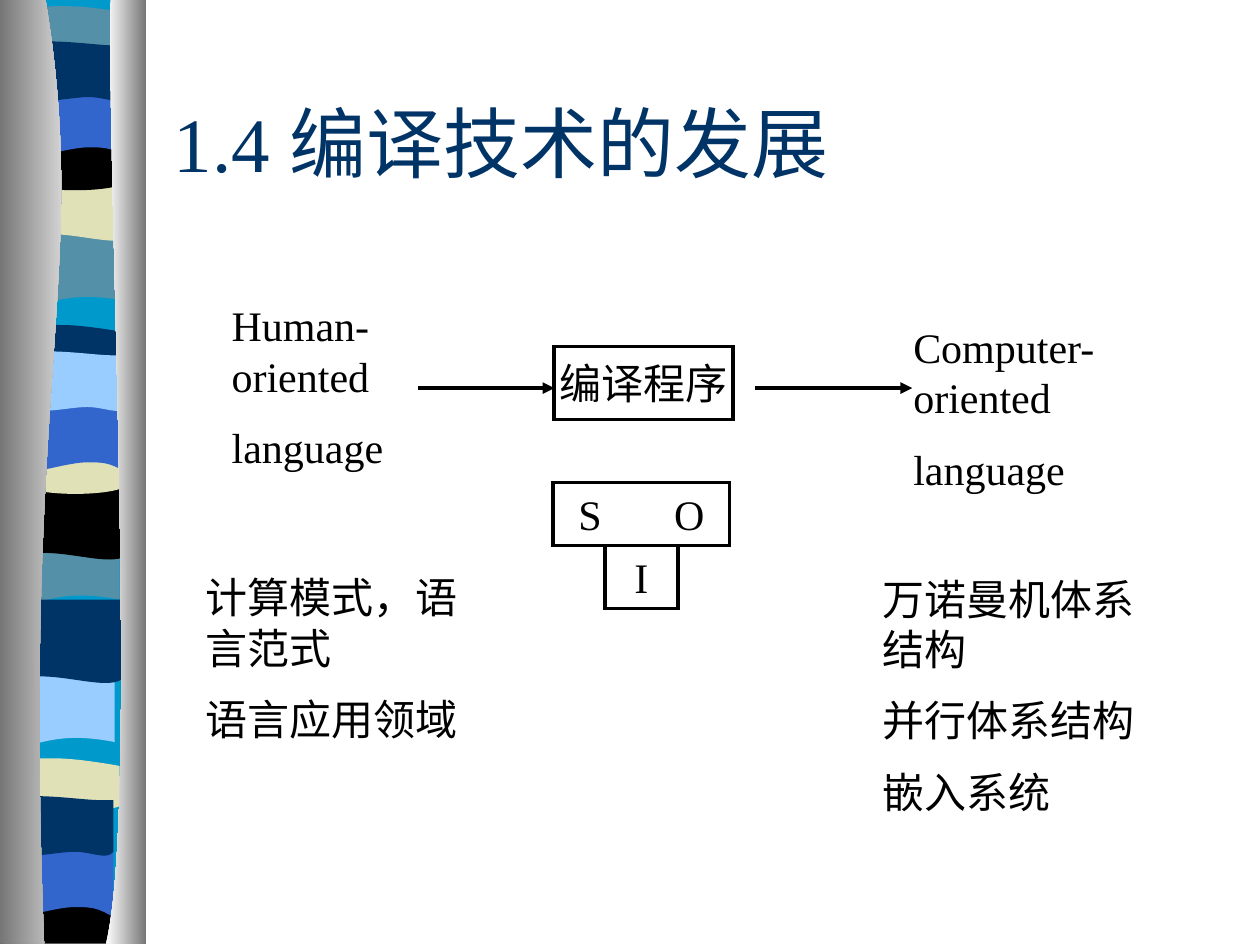
import pptx
import pptx.dml.color
import pptx.enum.shapes
import pptx.enum.text
import pptx.oxml
import pptx.oxml.ns
import pptx.util
from typing import NamedTuple

PX = 9144  # EMU per px, 100 px to the inch
FONT = "Times New Roman"
BLACK, WHITE, NAVY, GREY = "000000", "FFFFFF", "003366", "767676"
TEAL, STEEL, SAND, BLUE, SKY = "0099CC", "5490A8", "E1E1B7", "3366CC", "99CCFF"
NS = pptx.oxml.ns.nsdecls("a")
LEFT = pptx.enum.text.PP_ALIGN.LEFT
CENTER = pptx.enum.text.PP_ALIGN.CENTER
TOP = pptx.enum.text.MSO_ANCHOR.TOP
MIDDLE = pptx.enum.text.MSO_ANCHOR.MIDDLE
RECTANGLE = pptx.enum.shapes.MSO_SHAPE.RECTANGLE
STRAIGHT = pptx.enum.shapes.MSO_CONNECTOR.STRAIGHT

# Outlines: a pair is a corner, six numbers are a cubic curve from the last point.
WAVE = [(81, 0), (81, 63), (26, 52, 14, 73, 0, 63), (0, 0)]
FLAG = [(81, 0), (81, 63), (68, 73, 25, 55, 0, 63), (0, 0)]
CAP = [(81, 7), (81, 39), (68, 44, 14, 44, 0, 39), (0, 7),
       (5, 0, 18, 1, 32, 1), (45, 1, 71, 5, 81, 7)]
BOWL = [(81, 0), (81, 43), (68, 51, 14, 51, 0, 43), (0, 0),
        (50, 7, 65, 0, 81, 0)]
ARCH = [(81, 0), (81, 63), (68, 55, 63, 55, 50, 55),
        (36, 55, 12, 63, 0, 63), (0, 0)]
RIBBON = [(81, 7), (81, 48), (76, 55, 64, 48, 50, 48),
          (37, 48, 8, 55, 0, 48), (0, 7), (11, 0, 56, 7, 69, 7),
          (83, 7, 79, 7, 81, 7)]
FLOOR = [(108, 0), (108, 37), (0, 37), (0, 0), (66, 5, 86, 0, 108, 0)]
BACKING = [(108, 0), (108, 748), (0, 748), (0, 0)]
LEFT_CURTAIN = [(36, 0), (72, 217, 17, 297, 35, 750), (0, 750), (0, 0)]
RIGHT_CURTAIN = [(88, 0), (84, 126, 111, 647, 84, 750), (116, 750), (116, 0)]


class Band(NamedTuple):
    outline: list
    x: int
    y: int
    color: str


class Box(NamedTuple):
    x: int
    y: int
    w: int
    h: int


class Label(NamedTuple):
    box: Box
    paragraphs: list


BANDS = [
    Band(BACKING, 6, -1, TEAL),
    Band(WAVE, 19, 176, STEEL), Band(FLAG, 24, 125, SAND),
    Band(CAP, 24, 4, STEEL), Band(BOWL, 19, 102, BLACK),
    Band(ARCH, 20, 62, BLUE), Band(RIBBON, 20, 29, NAVY),
    Band(WAVE, 14, 413, STEEL), Band(FLAG, 19, 378, BLACK),
    Band(CAP, 19, 257, NAVY), Band(BOWL, 19, 343, SAND),
    Band(ARCH, 19, 312, BLUE), Band(RIBBON, 19, 275, SKY),
    Band(WAVE, 10, 526, SKY), Band(FLAG, 16, 476, NAVY),
    Band(CAP, 14, 601, SAND), Band(FLOOR, 0, 712, BLACK),
    Band(ARCH, 9, 665, BLUE), Band(RIBBON, 9, 628, NAVY),
]
LANGUAGES = [
    Label(Box(174, 233, 150, 151), ["Human-oriented", "language"]),
    Label(Box(715, 250, 167, 151), ["Computer-oriented", "language"]),
]
TOPICS = [
    Label(Box(153, 449, 250, 210), ["计算模式，语言范式", "语言应用领域"]),
    Label(Box(691, 450, 250, 210),
          ["万诺曼机体系结构", "并行体系结构", "嵌入系统"]),
]
COMPILER = Box(440, 275, 142, 58)
T_BAR = Box(439, 383, 140, 50)
T_STEM = Box(480, 433, 58, 50)
ARROW_Y = 308
ARROWS = [(332, COMPILER.x), (599, 724)]


def rgb(color: str):
    return pptx.dml.color.RGBColor.from_string(color)


def emu(box: Box) -> list:
    return [n * PX for n in box]


def bend(sp, outline: list):
    """Merge the three segments of each curve into one cubic segment."""
    path = sp._element.find(".//" + pptx.oxml.ns.qn("a:path"))
    segments = iter(list(path)[1:])
    for part in outline[1:]:
        first = next(segments)
        if len(part) == 6:
            curve = pptx.oxml.parse_xml(f"<a:cubicBezTo {NS}/>")
            first.addprevious(curve)
            for segment in (first, next(segments), next(segments)):
                curve.append(segment[0])
                path.remove(segment)


def draw_band(shapes, band: Band, fade_to: str = ""):
    """Draw a band in one colour, or fading from left to right."""
    points = [((part[i] + band.x) * PX, (part[i + 1] + band.y) * PX)
              for part in band.outline for i in range(0, len(part), 2)]
    builder = shapes.build_freeform(*points[0], scale=1.0)
    builder.add_line_segments(points[1:], close=True)
    sp = builder.convert_to_shape()
    bend(sp, band.outline)
    sp.shadow.inherit = False
    sp.line.fill.background()
    if fade_to:
        sp.fill.gradient()
        sp.fill.gradient_angle = 0
        for stop, color in zip(sp.fill.gradient_stops, (band.color, fade_to)):
            stop.color.rgb = rgb(color)
    else:
        sp.fill.solid()
        sp.fill.fore_color.rgb = rgb(band.color)


def write(sp, paragraphs: list, size=24, color=BLACK, align=LEFT, anchor=TOP,
          wrap=True, gap=12, tab=0):
    tf = sp.text_frame
    tf.auto_size = pptx.enum.text.MSO_AUTO_SIZE.NONE
    tf.word_wrap = wrap
    tf.vertical_anchor = anchor
    for i, text in enumerate(paragraphs):
        p = tf.add_paragraph() if i else tf.paragraphs[0]
        p.alignment = align
        if tab:
            p._p.get_or_add_pPr().append(pptx.oxml.parse_xml(
                f'<a:tabLst {NS}><a:tab pos="{tab * PX}" algn="l"/></a:tabLst>'))
        p.space_before = pptx.util.Pt(gap if i else 0)
        r = p.add_run()
        r.text = text
        r.font.name = FONT
        r.font.size = pptx.util.Pt(size)
        r.font.color.rgb = rgb(color)


def draw_box(shapes, box: Box, line=BLACK, width=2.25):
    sp = shapes.add_shape(RECTANGLE, *emu(box))
    sp.shadow.inherit = False
    sp.fill.solid()
    sp.fill.fore_color.rgb = rgb(WHITE)
    sp.line.color.rgb = rgb(line)
    sp.line.width = pptx.util.Pt(width)
    sp.line._get_or_add_ln().append(
        pptx.oxml.parse_xml(f'<a:miter {NS} lim="800000"/>'))
    return sp


def draw_arrow(shapes, x1: int, x2: int, y: int):
    arrow = shapes.add_connector(STRAIGHT, x1 * PX, y * PX, x2 * PX, y * PX)
    arrow.line.color.rgb = rgb(BLACK)
    arrow.line.width = pptx.util.Pt(2.25)
    arrow.line._get_or_add_ln().append(
        pptx.oxml.parse_xml(f'<a:tailEnd {NS} type="triangle"/>'))
    arrow._element.spPr.append(pptx.oxml.parse_xml(f"<a:effectLst {NS}/>"))


def main():
    prs = pptx.Presentation()
    prs.slide_width, prs.slide_height = 1000 * PX, 750 * PX
    slide = prs.slides.add_slide(prs.slide_layouts[5])
    shapes = slide.shapes

    ribbon = shapes.add_group_shape().shapes
    for band in BANDS:
        draw_band(ribbon, band)
    draw_band(ribbon, Band(LEFT_CURTAIN, 0, -1, GREY), fade_to=WHITE)
    draw_band(ribbon, Band(RIGHT_CURTAIN, 0, -1, WHITE), fade_to=GREY)

    title = shapes.title
    title.left, title.top, title.width, title.height = emu(Box(128, 50, 850, 125))
    write(title, ["1.4 编译技术的发展"], size=44, color=NAVY, anchor=MIDDLE)

    for label in LANGUAGES:
        write(draw_box(shapes, label.box, line=WHITE, width=0.75),
              label.paragraphs)
    for label in TOPICS:
        write(shapes.add_textbox(*emu(label.box)), label.paragraphs)
    for x1, x2 in ARROWS:
        draw_arrow(shapes, x1, x2, ARROW_Y)

    write(draw_box(shapes, COMPILER), ["编译程序"],
          align=CENTER, anchor=MIDDLE, wrap=False)
    diagram = shapes.add_group_shape().shapes
    bar = draw_box(diagram, T_BAR)
    bar.text_frame.margin_left = 20 * PX
    write(bar, ["S\tO"], anchor=MIDDLE, tab=76)
    write(draw_box(diagram, T_STEM), ["I"],
          align=CENTER, anchor=MIDDLE, wrap=False)

    prs.save("out.pptx")


if __name__ == "__main__":
    main()
